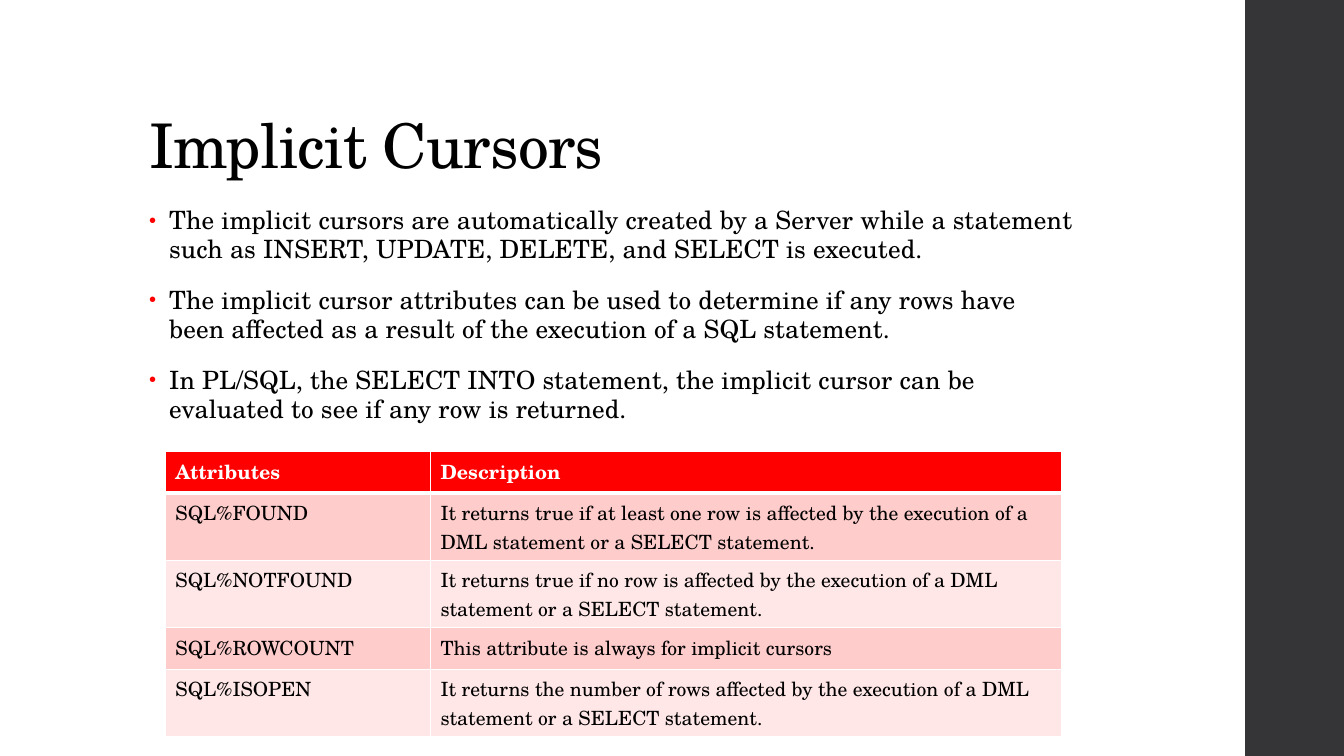
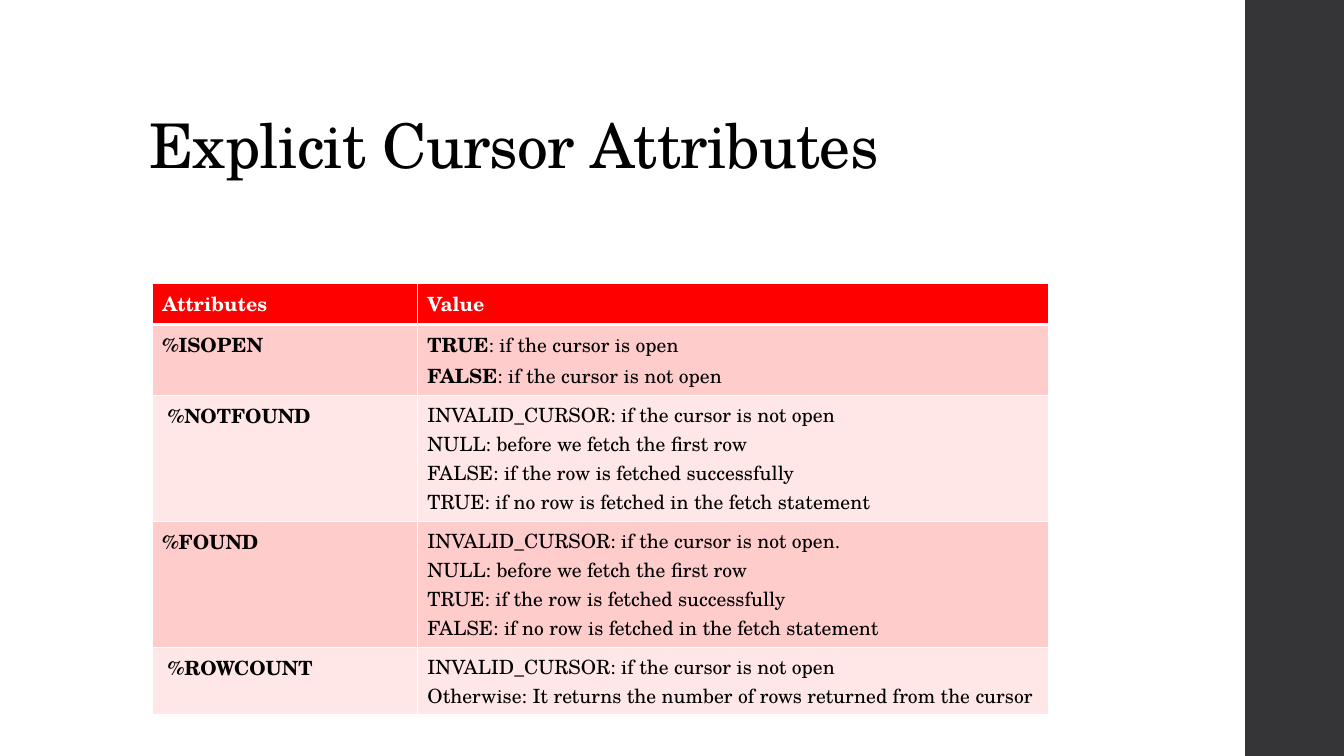
import dataclasses
import typing

import lxml.etree
import pptx
import pptx.dml.color
import pptx.enum.shapes
import pptx.enum.text
import pptx.oxml.ns
import pptx.util

Inches = pptx.util.Inches
Pt = pptx.util.Pt
qn = pptx.oxml.ns.qn


@dataclasses.dataclass(frozen=True)
class Theme:
    font: str = "TeX Gyre Schola"
    ink: str = "000000"
    paper: str = "FFFFFF"
    band: str = "353537"
    accent: str = "FF0000"
    dark: str = "FFCCCC"
    light: str = "FFE7E7"
    title: int = 44
    body: int = 18
    cell: int = 14
    thin: int = 1
    thick: int = 3


@dataclasses.dataclass(frozen=True)
class Row:
    key: str
    lines: tuple[str, ...]
    high: float
    lead: bool = False


@dataclasses.dataclass(frozen=True)
class Grid:
    left: float
    top: float
    head: Row
    rows: tuple[Row, ...]
    strong: bool = False


@dataclasses.dataclass(frozen=True)
class Page:
    title: str
    grid: Grid
    points: tuple[str, ...] = ()


THEME = Theme()
SIDES = ("lnL", "lnR", "lnT", "lnB")
COLS = (2.63, 6.26)

PAGES = (
    Page(
        "Implicit Cursors",
        Grid(1.64, 4.48, Row("Attributes", ("Description",), 0.41), (
            Row("SQL%FOUND", ("It returns true if at least one row is affected by the "
                              "execution of a DML statement or a SELECT statement.",), 0.67),
            Row("SQL%NOTFOUND", ("It returns true if no row is affected by the execution "
                                 "of a DML statement or a SELECT statement.",), 0.67),
            Row("SQL%ROWCOUNT", ("This attribute is always for implicit cursors",), 0.41),
            Row("SQL%ISOPEN", ("It returns the number of rows affected by the execution "
                               "of a DML statement or a SELECT statement.",), 0.67),
        )),
        (
            "The implicit cursors are automatically created by a Server while a statement "
            "such as INSERT, UPDATE, DELETE, and SELECT is executed.",
            "The implicit cursor attributes can be used to determine if any rows have been "
            "affected as a result of the execution of a SQL statement.",
            "In PL/SQL, the SELECT INTO statement, the implicit cursor can be evaluated "
            "to see if any row is returned.",
        ),
    ),
    Page(
        "Explicit Cursor Attributes",
        Grid(1.51, 2.81, Row("Attributes", ("Value",), 0.41), (
            Row("%ISOPEN", ("TRUE: if the cursor is open",
                            "FALSE: if the cursor is not open"), 0.7, True),
            Row(" %NOTFOUND", ("INVALID_CURSOR: if the cursor is not open",
                               "NULL: before we fetch the first row",
                               "FALSE: if the row is fetched successfully",
                               "TRUE: if no row is fetched in the fetch statement"), 1.25),
            Row("%FOUND", ("INVALID_CURSOR: if the cursor is not open.",
                           "NULL: before we fetch the first row",
                           "TRUE: if the row is fetched successfully",
                           "FALSE: if no row is fetched in the fetch statement"), 1.25),
            Row(" %ROWCOUNT", ("INVALID_CURSOR: if the cursor is not open",
                               "Otherwise: It returns the number of rows returned "
                               "from the cursor"), 0.67),
        ), True),
    ),
)


def color(code: str) -> pptx.dml.color.RGBColor:
    return pptx.dml.color.RGBColor.from_string(code)


def style(run: typing.Any, size: int, code: str, bold: bool = False, gap: int = 0) -> None:
    run.font.name = THEME.font
    run.font.size = Pt(size)
    run.font.bold = bold
    run.font.color.rgb = color(code)
    if gap:
        run.font._element.set("spc", str(gap))


def add_box(slide: typing.Any, left: float, top: float, width: float, height: float) -> typing.Any:
    box = slide.shapes.add_textbox(Inches(left), Inches(top), Inches(width), Inches(height))
    box.text_frame.word_wrap = True
    return box.text_frame


def add_frame(slide: typing.Any, title: str) -> None:
    band = slide.shapes.add_shape(pptx.enum.shapes.MSO_SHAPE.RECTANGLE,
                                  Inches(12.35), 0, Inches(1), Inches(7.5))
    band.shadow.inherit = False
    band.fill.solid()
    band.fill.fore_color.rgb = color(THEME.band)
    band.line.fill.background()
    frame = add_box(slide, 1.38, 0.4, 10.6, 1.45)
    frame.vertical_anchor = pptx.enum.text.MSO_ANCHOR.BOTTOM
    frame.text = title
    frame.paragraphs[0].line_spacing = 0.9
    style(frame.paragraphs[0].runs[0], THEME.title, THEME.ink, gap=-50)


def add_dot(para: typing.Any) -> None:
    props = para._p.get_or_add_pPr()
    props.set("marL", str(Inches(0.2)))
    props.set("indent", str(Inches(-0.2)))
    tint = lxml.etree.SubElement(props, qn("a:buClr"))
    lxml.etree.SubElement(tint, qn("a:srgbClr"), val=THEME.accent)
    lxml.etree.SubElement(props, qn("a:buSzPct"), val="80000")
    lxml.etree.SubElement(props, qn("a:buFont"), typeface="Arial")
    lxml.etree.SubElement(props, qn("a:buChar"), char="•")


def add_points(slide: typing.Any, points: tuple[str, ...]) -> None:
    frame = add_box(slide, 1.38, 2, 9.4, 4.76)
    frame.text = "\n".join(points)
    for para in frame.paragraphs:
        para.line_spacing = 0.95
        para.space_before = Pt(14)
        para.space_after = Pt(2)
        add_dot(para)
        style(para.runs[0], THEME.body, THEME.ink, gap=10)


def add_edge(cell: typing.Any, side: str, width: int) -> None:
    props = cell._tc.get_or_add_tcPr()
    line = lxml.etree.SubElement(props, qn("a:" + side), w=str(Pt(width)))
    fill = lxml.etree.SubElement(line, qn("a:solidFill"))
    lxml.etree.SubElement(fill, qn("a:srgbClr"), val=THEME.paper)


def fill_cell(cell: typing.Any, lines: tuple[str, ...], index: int,
              bold: bool, lead: bool = False) -> None:
    for side in SIDES:
        heavy = (index, side) in ((0, "lnB"), (1, "lnT"))
        add_edge(cell, side, THEME.thick if heavy else THEME.thin)
    back = THEME.accent if index == 0 else THEME.dark if index % 2 else THEME.light
    cell.fill.solid()
    cell.fill.fore_color.rgb = color(back)
    ink = THEME.paper if index == 0 else THEME.ink
    cell.text_frame.text = "\n".join(lines)
    for para in cell.text_frame.paragraphs:
        if lead:
            word, mark, rest = para.text.partition(":")
            para.text = word
            para.add_run().text = mark + rest
        for spot, run in enumerate(para.runs):
            style(run, THEME.cell, ink, bold or (lead and spot == 0))


def add_grid(slide: typing.Any, grid: Grid) -> None:
    rows = (grid.head, *grid.rows)
    table = slide.shapes.add_table(
        len(rows), len(COLS), Inches(grid.left), Inches(grid.top),
        Inches(sum(COLS)), Inches(sum(row.high for row in rows))).table
    for col, width in zip(table.columns, COLS):
        col.width = Inches(width)
    for index, row in enumerate(rows):
        table.rows[index].height = Inches(row.high)
        head = index == 0
        fill_cell(table.cell(index, 0), (row.key,), index, head or grid.strong)
        fill_cell(table.cell(index, 1), row.lines, index, head, row.lead)


def main() -> None:
    deck = pptx.Presentation()
    deck.slide_width = Inches(13.33)
    deck.slide_height = Inches(7.5)
    for page in PAGES:
        slide = deck.slides.add_slide(deck.slide_layouts[6])
        add_frame(slide, page.title)
        if page.points:
            add_points(slide, page.points)
        add_grid(slide, page.grid)
    deck.save("out.pptx")


if __name__ == "__main__":
    main()
